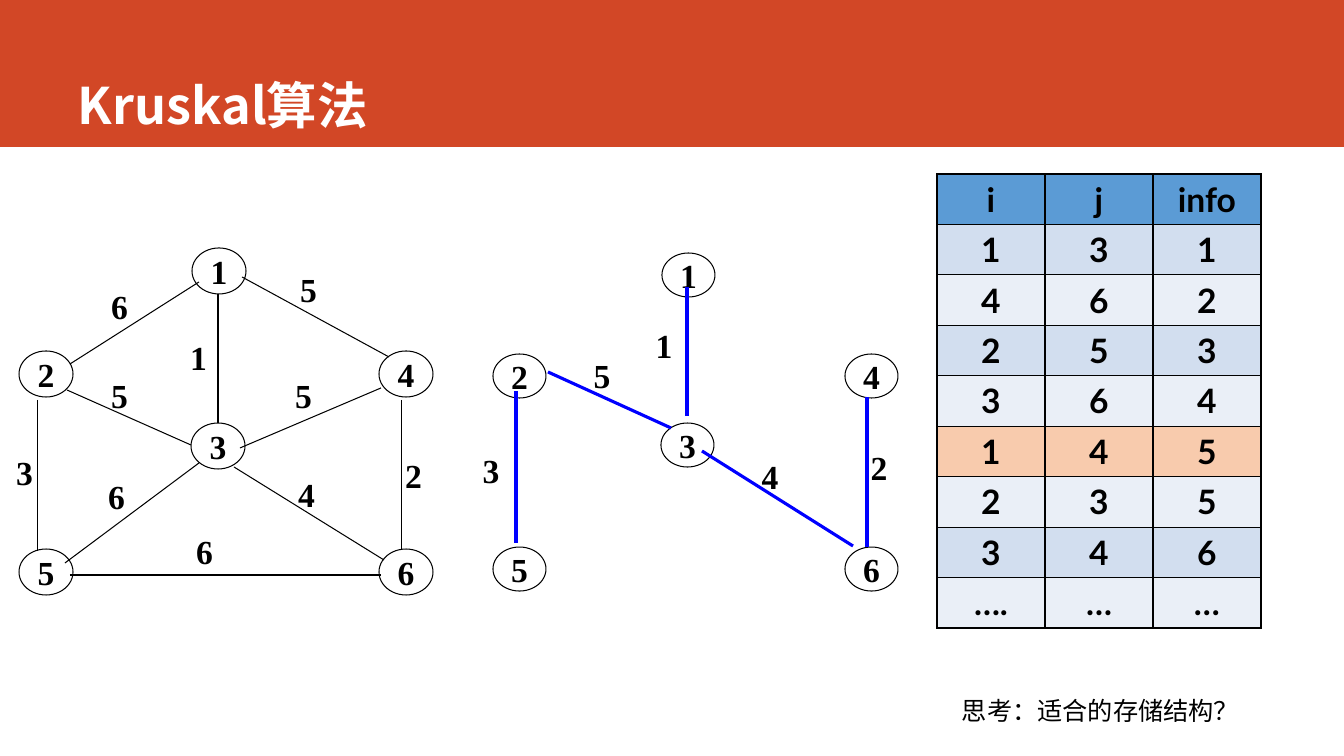
import lxml.etree
import pptx
import pptx.dml.color
import pptx.enum.shapes
import pptx.enum.text
import pptx.oxml.ns
import pptx.util

# Content
TITLE = "Kruskal算法"
QUESTION = "思考：适合的存储结构？"
COLORS = {
    "band": "D24726", "title": "FFFFFF", "ink": "000000", "tree": "0000FF",
    "header": "5B9BD5", "odd": "D2DEEF", "even": "EAEFF7", "current": "F8CBAD",
}
# nodes: name -> left, top; edges: weight, start, end, label left and top (px)
GRAPHS = [
    {
        "node_size": (54, 46), "label_size": (37, 45), "color": "ink", "width": 0.75,
        "nodes": {"1": (192, 248), "6": (379, 549), "5": (19, 549),
                  "4": (379, 351), "3": (191, 423), "2": (19, 351)},
        "edges": [
            ("1", (218, 294), (218, 423), (180, 335)),
            ("6", (199, 282), (70, 364), (101, 284)),
            ("3", (38, 400), (38, 551), (6, 450)),
            ("2", (402, 400), (402, 549), (395, 453)),
            ("6", (70, 575), (381, 575), (186, 529)),
            ("5", (242, 277), (389, 357), (290, 267)),
            ("5", (67, 390), (191, 445), (101, 373)),
            ("5", (381, 388), (240, 448), (285, 373)),
            ("6", (199, 463), (65, 563), (98, 474)),
            ("4", (234, 467), (384, 560), (288, 472)),
        ],
    },
    {
        "node_size": (53, 44), "label_size": (38, 48), "color": "tree", "width": 2.25,
        "nodes": {"1": (662, 253), "6": (845, 547), "5": (493, 547),
                  "4": (845, 354), "3": (661, 423), "2": (493, 354)},
        "edges": [
            ("1", (687, 287), (687, 416), (645, 321)),
            ("2", (867, 397), (867, 547), (860, 443)),
            ("3", (516, 391), (516, 543), (472, 446)),
            ("4", (702, 451), (853, 546), (751, 452)),
            ("5", (548, 372), (671, 428), (583, 351)),
        ],
    },
]
EDGE_TABLE = [
    ("i", "j", "info"),
    ("1", "3", "1"), ("4", "6", "2"), ("2", "5", "3"), ("3", "6", "4"),
    ("1", "4", "5"), ("2", "3", "5"), ("3", "4", "6"), ("….", "…", "…"),
]
CURRENT_ROW = 5
TABLE_LEFT, TABLE_TOP, COLUMN_WIDTH, ROW_HEIGHT = 937, 174, 108, 50

# Formats
CJK_FONT = "Noto Sans CJK SC"
TITLE_FONT = {"name": CJK_FONT, "size": pptx.util.Pt(36), "bold": True}
GRAPH_FONT = {"name": "Times New Roman", "size": pptx.util.Pt(24), "bold": True}
TABLE_FONT = {"name": "Lato", "size": pptx.util.Pt(24), "bold": True}
QUESTION_FONT = {"name": "Calibri", "size": pptx.util.Pt(18), "bold": False}
ALIGN = pptx.enum.text.PP_ALIGN
ANCHOR = pptx.enum.text.MSO_ANCHOR
FIT = pptx.enum.text.MSO_AUTO_SIZE.SHAPE_TO_FIT_TEXT
NODE_FRAME = {"word_wrap": False, "vertical_anchor": ANCHOR.MIDDLE}
LABEL_FRAME = {**NODE_FRAME, "auto_size": FIT}
TITLE_FRAME = {"word_wrap": True, "vertical_anchor": ANCHOR.BOTTOM, "margin_bottom": 0}
QUESTION_FRAME = {"word_wrap": False, "auto_size": FIT}
SHAPES = pptx.enum.shapes.MSO_SHAPE
qn = pptx.oxml.ns.qn


def px(*lengths):
    return [pptx.util.Emu(round(length * 12192000 / 1344)) for length in lengths]


def color(name):
    return pptx.dml.color.RGBColor.from_string(COLORS[name])


def apply(target, values):
    for name, value in values.items():
        setattr(target, name, value)


def write(frame, text, font, align, ink="ink"):
    para = frame.paragraphs[0]
    para.alignment = align
    span = para.add_run()
    span.text = text
    apply(span.font, font)
    span.font.color.rgb = color(ink)
    east_asian = lxml.etree.SubElement(span.font._element, qn("a:ea"))
    east_asian.set("typeface", CJK_FONT)


def add_text(page, place, text, font, frame, align, ink="ink"):
    box = page.shapes.add_textbox(*px(*place))
    apply(box.text_frame, frame)
    write(box.text_frame, text, font, align, ink)


def add_node(page, place, name):
    node = page.shapes.add_shape(SHAPES.OVAL, *px(*place))
    node.shadow.inherit = False
    node.fill.background()
    node.line.color.rgb = color("ink")
    node.line.width = pptx.util.Pt(0.75)
    apply(node.text_frame, NODE_FRAME)
    write(node.text_frame, name, GRAPH_FONT, ALIGN.CENTER)


def add_edge(page, start, end, ink, width):
    edge = page.shapes.add_connector(
        pptx.enum.shapes.MSO_CONNECTOR.STRAIGHT, *px(*start, *end))
    edge.line.color.rgb = color(ink)
    edge.line.width = pptx.util.Pt(width)
    lxml.etree.SubElement(edge._element.spPr, qn("a:effectLst"))


def add_borders(cell):
    properties = cell._tc.get_or_add_tcPr()
    for index, side in enumerate(("lnL", "lnR", "lnT", "lnB")):
        border = lxml.etree.Element(qn("a:" + side), w="12700")
        fill = lxml.etree.SubElement(border, qn("a:solidFill"))
        lxml.etree.SubElement(fill, qn("a:srgbClr"), val=COLORS["ink"])
        properties.insert(index, border)


def add_edge_table(page):
    rows, columns = len(EDGE_TABLE), len(EDGE_TABLE[0])
    table = page.shapes.add_table(rows, columns, *px(
        TABLE_LEFT, TABLE_TOP, columns * COLUMN_WIDTH, rows * ROW_HEIGHT)).table
    for r, values in enumerate(EDGE_TABLE):
        fill = "odd" if r % 2 else "even"
        fill = {0: "header", CURRENT_ROW: "current"}.get(r, fill)
        for c, value in enumerate(values):
            cell = table.cell(r, c)
            cell.fill.solid()
            cell.fill.fore_color.rgb = color(fill)
            add_borders(cell)
            write(cell.text_frame, value, TABLE_FONT, ALIGN.CENTER)


def main():
    deck = pptx.Presentation()
    deck.slide_width, deck.slide_height = px(1344, 756)
    page = deck.slides.add_slide(deck.slide_layouts[6])

    # Title band
    band = page.shapes.add_shape(SHAPES.RECTANGLE, *px(0, 0, 1344, 147))
    band.shadow.inherit = False
    band.fill.solid()
    band.fill.fore_color.rgb = color("band")
    band.line.fill.background()
    add_text(page, (68, 0, 1184, 135), TITLE, TITLE_FONT, TITLE_FRAME, ALIGN.LEFT, "title")

    # Full graph and spanning tree
    for graph in GRAPHS:
        for name, corner in graph["nodes"].items():
            add_node(page, corner + graph["node_size"], name)
        for weight, start, end, corner in graph["edges"]:
            add_edge(page, start, end, graph["color"], graph["width"])
            add_text(page, corner + graph["label_size"], weight,
                     GRAPH_FONT, LABEL_FRAME, ALIGN.CENTER)

    # Sorted edges and question
    add_edge_table(page)
    add_text(page, (952, 690, 300, 40), QUESTION, QUESTION_FONT, QUESTION_FRAME, ALIGN.LEFT)
    deck.save("out.pptx")


if __name__ == "__main__":
    main()
